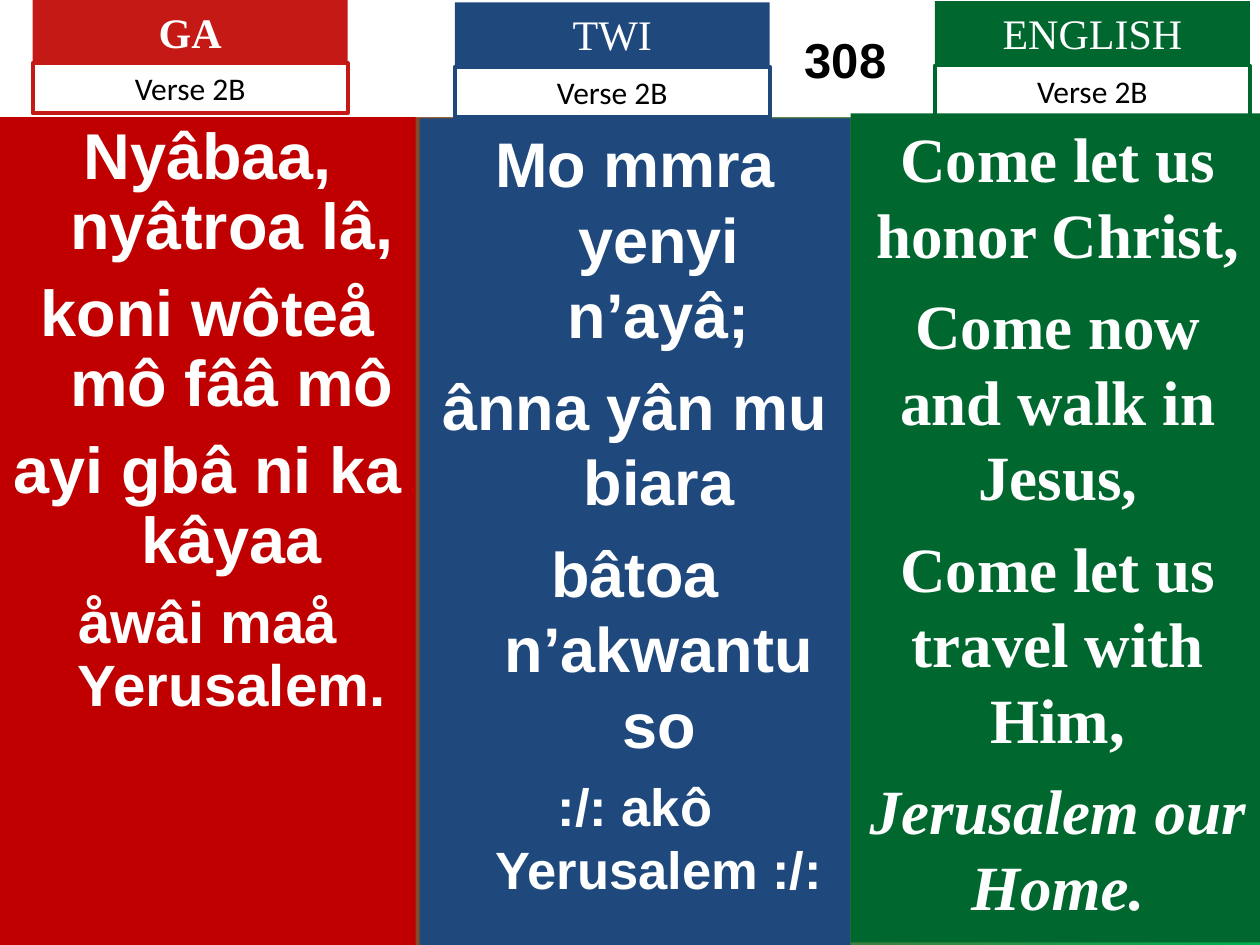
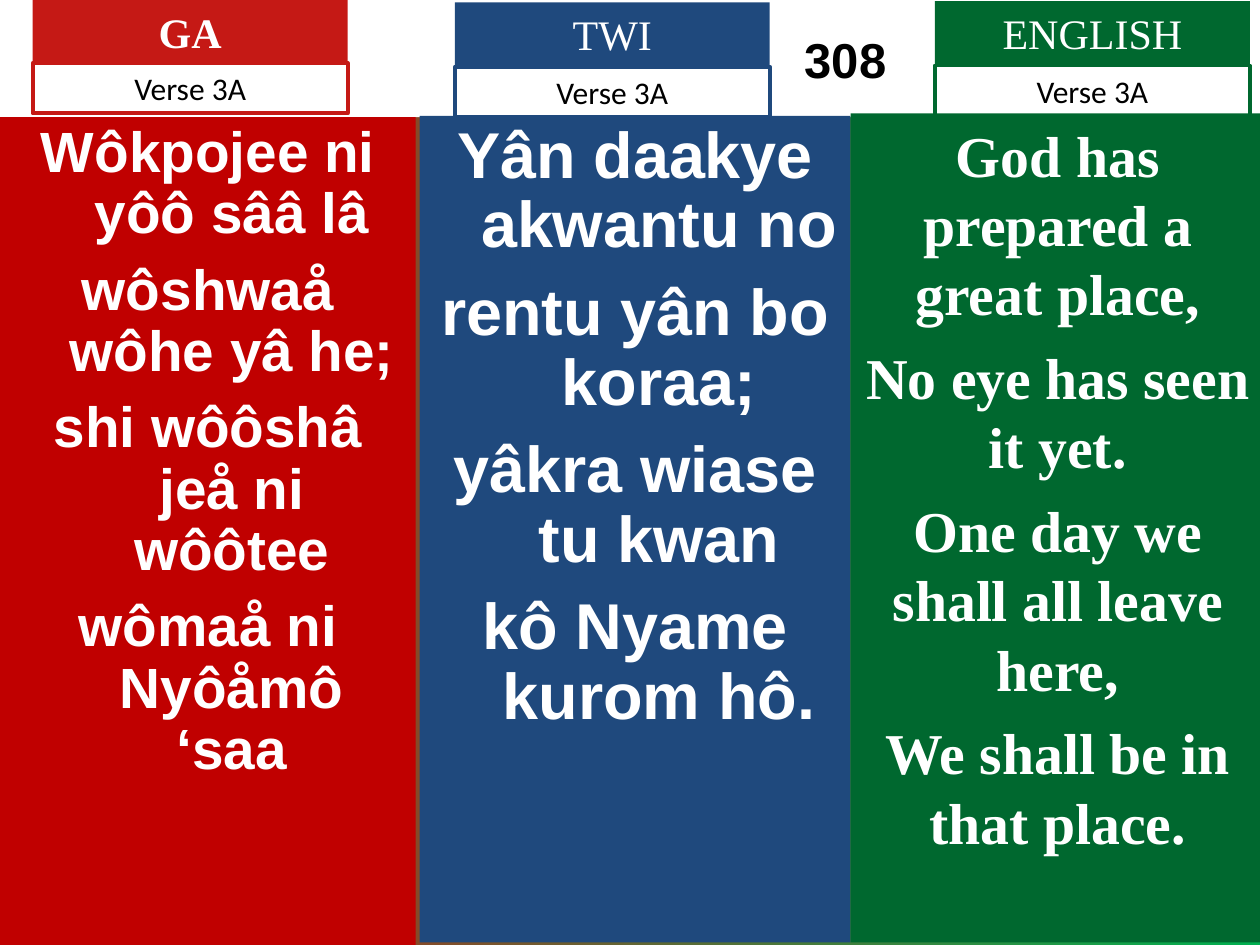
"""Build hymn 308 as slides with Ga, Twi and English verses side by side."""
import pptx
import pptx.dml.color
import pptx.enum.shapes
import pptx.enum.text
import pptx.util

RGB = pptx.dml.color.RGBColor
Pt = pptx.util.Pt
Inches = pptx.util.Inches
ALIGN = pptx.enum.text.PP_ALIGN
ANCHOR = pptx.enum.text.MSO_ANCHOR
RECT = pptx.enum.shapes.MSO_SHAPE.RECTANGLE

WHITE = RGB(0xFF, 0xFF, 0xFF)
BLACK = RGB(0x00, 0x00, 0x00)
SCARLET = RGB(0xC5, 0x19, 0x15)
RED = RGB(0xC0, 0x00, 0x00)
BLUE = RGB(0x1F, 0x49, 0x7D)
GREEN = RGB(0x00, 0x68, 0x2F)
BRIGHT_GREEN = RGB(0x00, 0xB0, 0x50)
SANS, SERIF, PLAIN = "Arial", "Times New Roman", "Calibri"

COLS, ROWS = 100, 75
HANG = Inches(0.38)
LABEL_W, LABEL_H, VERSE_H = 25, 5, 4

LABELS = [
    ("GA", SCARLET, 2.6, 0, 5, True),
    ("TWI", BLUE, 36.1, 0.2, 5.3, False),
    ("ENGLISH", GREEN, 74.2, 0.1, 5.2, False),
]

HYMN_NUMBER = "308"
VERSES = [
    ("Verse 2B", [
        dict(box=(0, 9.3, 33, 65.7), color=RED, spacing=0.9, hang=True,
             lines=["Nyâbaa, nyâtroa lâ,", "koni wôteå mô fââ mô",
                    "ayi gbâ ni ka kâyaa", "åwâi maå Yerusalem."],
             size=37, last_size=33.3),
        dict(box=(33.3, 9.4, 34.2, 65.6), color=BLUE, hang=True,
             lines=["Mo mmra yenyi n’ayâ;", "ânna yân mu biara",
                    "bâtoa n’akwantu so", ":/: akô Yerusalem :/:"],
             size=36, last_size=30),
        dict(box=(67.5, 9, 32.9, 65.8), color=GREEN, font=SERIF,
             lines=["Come let us honor Christ,", "Come now and walk in Jesus,",
                    "Come let us travel with Him,", "Jerusalem our Home."],
             size=36, last_italic=True),
    ]),
    ("Verse 3A", [
        dict(box=(0, 9.3, 33, 65.7), color=RED, spacing=0.9, hang=True,
             lines=["Wôkpojee ni yôô sââ lâ", "wôshwaå wôhe yâ he;",
                    "shi wôôshâ jeå ni wôôtee", "wômaå ni Nyôåmô ‘saa"],
             size=32.4),
        dict(box=(33.3, 9.2, 34.2, 65.6), color=BLUE, spacing=0.9, hang=True,
             lines=["Yân daakye akwantu no", "rentu yân bo koraa;",
                    "yâkra wiase tu kwan", "kô Nyame kurom hô."],
             size=37),
        dict(box=(67.5, 9, 32.9, 65.8), color=GREEN, font=SERIF,
             lines=["God has prepared a great place,", "No eye has seen it yet.",
                    "One day we shall all leave here,",
                    "We shall be in that place."],
             size=33),
    ]),
]


class Deck:
    """Hold the presentation, the shared style and the current slide."""

    def __init__(self):
        """Start an empty 10 by 7.5 inch presentation."""
        self.prs = pptx.Presentation()
        self.prs.slide_width, self.prs.slide_height = Inches(10), Inches(7.5)
        self.slide = None

    def place(self, box):
        """Turn columns and rows into slide lengths."""
        col, row = self.prs.slide_width / COLS, self.prs.slide_height / ROWS
        return [round(n * unit) for n, unit in zip(box, (col, row, col, row))]

    def new_slide(self):
        """Add a title-only slide with the gradient background."""
        self.slide = self.prs.slides.add_slide(self.prs.slide_layouts[5])
        fill = self.slide.background.fill
        fill.gradient()
        fill.gradient_angle = 0
        for stop, color in zip(fill.gradient_stops, (SCARLET, BRIGHT_GREEN)):
            stop.color.rgb = color

    def style(self, p, font, size, color, bold=False, italic=False):
        """Centre a paragraph and format its runs."""
        p.alignment = ALIGN.CENTER
        for r in p.runs:
            r.font.name, r.font.size = font, Pt(size)
            r.font.bold, r.font.italic = bold, italic
            r.font.color.rgb = color

    def title(self, text):
        """Fill the white title band, its text centred right of the Ga panel."""
        sp = self.slide.shapes.title
        sp.left, sp.top, sp.width, sp.height = self.place((0, 0, COLS, 9.3))
        sp.fill.solid()
        sp.fill.fore_color.rgb = WHITE
        tf = sp.text_frame
        tf.text = text
        tf.vertical_anchor = ANCHOR.MIDDLE
        tf.margin_left, tf.margin_right = Inches(3.42), 0
        self.style(tf.paragraphs[0], SANS, 28, BLACK, bold=True)

    def rect(self, box, text, fill=None, line=None):
        """Add a rectangle with top-anchored text and return its text frame."""
        sp = self.slide.shapes.add_shape(RECT, *self.place(box))
        sp.shadow.inherit = False
        if fill is None:
            sp.fill.background()
        else:
            sp.fill.solid()
            sp.fill.fore_color.rgb = fill
        if line is None:
            sp.line.fill.background()
        else:
            sp.line.color.rgb = line
            sp.line.width = Pt(2.25)
        tf = sp.text_frame
        tf.word_wrap = True
        tf.vertical_anchor = ANCHOR.TOP
        tf.text = text
        return tf

    def label(self, verse, name, color, left, top, verse_top, bold):
        """Add a language label with the verse number below it."""
        tf = self.rect((left, top, LABEL_W, LABEL_H), name, fill=color)
        self.style(tf.paragraphs[0], SERIF, 24, WHITE, bold)
        tf = self.rect((left, verse_top, LABEL_W, VERSE_H), verse, line=color)
        self.style(tf.paragraphs[0], PLAIN, 18, BLACK)

    def panel(self, box, color, lines, size, font=SANS, spacing=None,
              hang=False, last_size=None, last_italic=False):
        """Add a coloured panel with one paragraph for each line of the verse."""
        tf = self.rect(box, "\n".join(lines), fill=color)
        gap = 0.27 if spacing else 0.25
        for i, p in enumerate(tf.paragraphs):
            last = i == len(lines) - 1
            pts = last_size if last and last_size else size
            self.style(p, font, pts, WHITE, True, last and last_italic)
            if spacing:
                p.line_spacing = spacing
            if i:
                p.space_before = Pt(round(pts * gap, 1))
            if hang:
                pPr = p._p.get_or_add_pPr()
                pPr.set("marL", str(HANG))
                pPr.set("indent", str(-HANG))


def main():
    """Build one slide for each verse and save the file."""
    deck = Deck()
    for verse, panels in VERSES:
        deck.new_slide()
        deck.title(HYMN_NUMBER)
        for panel in panels:
            deck.panel(**panel)
        for label in LABELS:
            deck.label(verse, *label)
    deck.prs.save("out.pptx")


if __name__ == "__main__":
    main()
